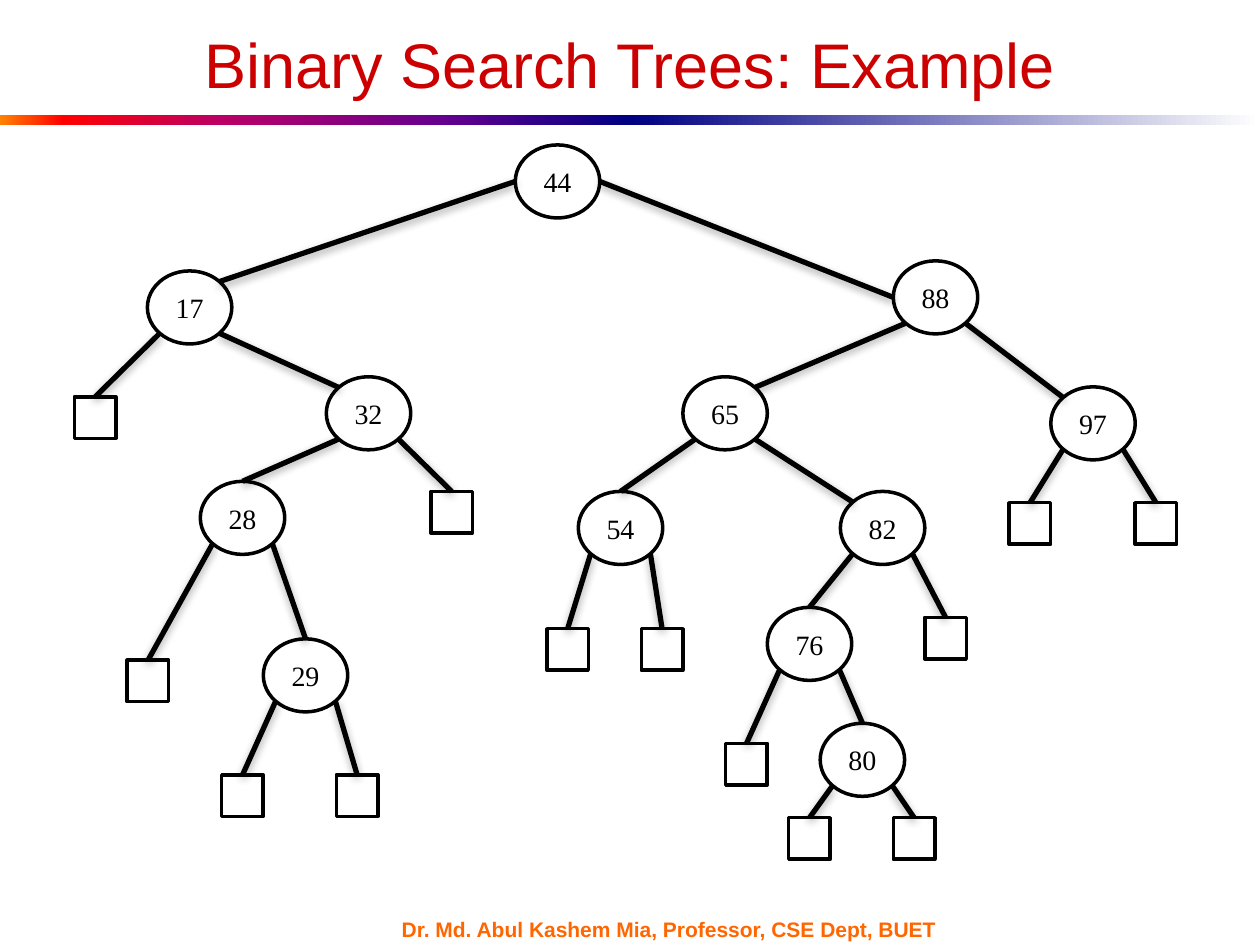
"""Builds a slide that shows an example binary search tree."""
from math import sqrt

from lxml.etree import SubElement
from pptx import Presentation
from pptx.dml.color import RGBColor
from pptx.enum.shapes import MSO_CONNECTOR, MSO_SHAPE
from pptx.enum.text import MSO_ANCHOR, PP_ALIGN
from pptx.oxml.ns import qn
from pptx.util import Inches, Pt

TITLE = "Binary Search Trees: Example"
FOOTER = "Dr. Md. Abul Kashem Mia, Professor, CSE Dept, BUET"

KEYS = {
    44: (4.09, 1.15), 17: (1.17, 2.15), 32: (2.59, 2.99), 28: (1.59, 3.82),
    29: (2.09, 5.07), 88: (7.09, 2.07), 65: (5.42, 2.99), 97: (8.34, 3.07),
    54: (4.59, 3.9), 82: (6.67, 3.9), 76: (6.09, 4.82), 80: (6.51, 5.74),
}
BRANCHES = [
    (44, "left", 17, "top right"), (44, "right", 88, "left"),
    (17, "bottom right", 32, "top left"), (32, "bottom left", 28, "top"),
    (28, "bottom right", 29, "top"), (88, "bottom left", 65, "top right"),
    (88, "bottom right", 97, "top left"), (65, "bottom left", 54, "top"),
    (65, "bottom right", 82, "top left"), (82, "bottom left", 76, "top"),
    (76, "bottom right", 80, "top"),
]
LEAVES = [
    (17, "bottom left", 0.59, 3.15), (32, "bottom right", 3.42, 3.9),
    (28, "bottom left", 1.01, 5.24), (29, "bottom left", 1.76, 6.15),
    (29, "bottom right", 2.67, 6.15), (54, "bottom left", 4.34, 4.99),
    (54, "bottom right", 5.09, 4.99), (97, "bottom left", 8.01, 3.99),
    (97, "bottom right", 9.01, 3.99), (76, "bottom left", 5.76, 5.9),
    (82, "bottom right", 7.34, 4.9), (80, "bottom left", 6.26, 6.49),
    (80, "bottom right", 7.09, 6.49),
]
RULE_GRADIENTS = [
    [(0, "FF8200"), (10, "FF0000"), (35, "BA0066"), (70, "66008F"), (100, "000082")],
    [(0, "000082"), (100, "FFFFFF")],
]
THEME = {
    "ink": "000000", "paper": "FFFFFF", "title": "CC0000", "footer": "FF6600",
    "sans": "Arial", "serif": "Times New Roman",
    "title_size": 36, "key_size": 16, "footer_size": 12,
    "outline": 2, "branch": 3,
}
KEY_SIZE = (0.67, 0.58)
LEAF_SIZE = (0.33, 0.33)
DIRECTIONS = {"left": (-1, 0), "right": (1, 0), "top": (0, -1), "bottom": (0, 1)}


def color(name):
    return RGBColor.from_string(THEME[name])


def write(shape, text, font, size, ink, align=PP_ALIGN.CENTER, bold=False):
    frame = shape.text_frame
    frame.word_wrap = True
    frame.vertical_anchor = MSO_ANCHOR.MIDDLE
    paragraph = frame.paragraphs[0]
    paragraph.alignment = align
    run = paragraph.add_run()
    run.text = text
    run.font.name = THEME[font]
    run.font.size = Pt(THEME[size])
    run.font.color.rgb = color(ink)
    run.font.bold = bold


def add_rule(slide, left, stops):
    rule = slide.shapes.add_shape(
        MSO_SHAPE.RECTANGLE, Inches(left), Inches(0.91), Inches(5), Inches(0.08))
    rule.shadow.inherit = False
    rule.line.fill.background()
    rule.fill.gradient()
    rule.fill.gradient_angle = 0
    stop_list = next(rule._element.iter(qn("a:gsLst")))
    for stop in list(stop_list):
        stop_list.remove(stop)
    for position, value in stops:
        stop = SubElement(stop_list, qn("a:gs"), pos=str(position * 1000))
        SubElement(stop, qn("a:srgbClr"), val=value)


def add_node(slide, kind, position, size):
    node = slide.shapes.add_shape(kind, *map(Inches, position + size))
    node.shadow.inherit = False
    node.fill.solid()
    node.fill.fore_color.rgb = color("paper")
    node.line.color.rgb = color("ink")
    node.line.width = Pt(THEME["outline"])
    return node


def rim_point(node, side):
    steps = [DIRECTIONS[word] for word in side.split()]
    reach = 2 * sqrt(len(steps))
    across, down = (sum(axis) / reach for axis in zip(*steps))
    return (int(node.left + node.width * (0.5 + across)),
            int(node.top + node.height * (0.5 + down)))


def add_branch(slide, parent, side, child, entry="top"):
    branch = slide.shapes.add_connector(
        MSO_CONNECTOR.STRAIGHT, *rim_point(parent, side), *rim_point(child, entry))
    if entry == "top":
        branch.end_connect(child, 0)
    branch.line.color.rgb = color("ink")
    branch.line.width = Pt(THEME["branch"])
    effects = SubElement(branch._element.spPr, qn("a:effectLst"))
    shadow = SubElement(effects, qn("a:outerShdw"), blurRad=str(Pt(5)),
                        dist=str(Pt(1.8)), dir="5400000", rotWithShape="0")
    tint = SubElement(shadow, qn("a:srgbClr"), val=THEME["ink"])
    SubElement(tint, qn("a:alpha"), val="35000")


def main():
    presentation = Presentation()
    presentation.slide_width = Inches(10)
    presentation.slide_height = Inches(7.5)
    slide = presentation.slides.add_slide(presentation.slide_layouts[5])

    title = slide.shapes.title
    title.left, title.top, title.width, title.height = map(Inches, (0.5, 0.25, 9, 0.51))
    write(title, TITLE, "sans", "title_size", "title")
    for index, stops in enumerate(RULE_GRADIENTS):
        add_rule(slide, 5 * index, stops)
    footer = slide.shapes.add_textbox(*map(Inches, (3.09, 7.28, 4.67, 0.18)))
    write(footer, FOOTER, "sans", "footer_size", "footer", PP_ALIGN.LEFT, True)

    nodes = {}
    for key, position in KEYS.items():
        nodes[key] = add_node(slide, MSO_SHAPE.OVAL, position, KEY_SIZE)
        write(nodes[key], str(key), "serif", "key_size", "ink")
    for parent, side, child, entry in BRANCHES:
        add_branch(slide, nodes[parent], side, nodes[child], entry)
    for parent, side, left, top in LEAVES:
        leaf = add_node(slide, MSO_SHAPE.RECTANGLE, (left, top), LEAF_SIZE)
        add_branch(slide, nodes[parent], side, leaf)

    presentation.save("out.pptx")


if __name__ == "__main__":
    main()
